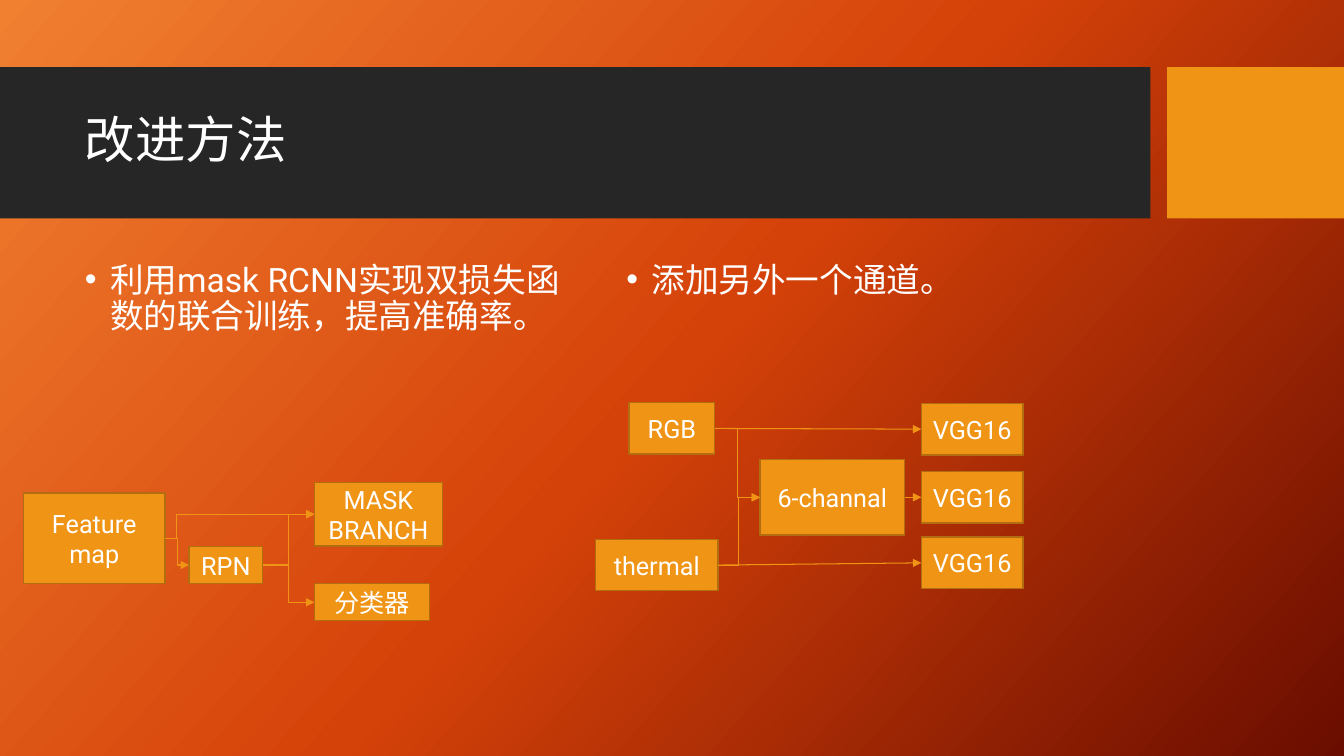
from copy import deepcopy

from lxml import etree
from pptx import Presentation
from pptx.dml.color import RGBColor
from pptx.enum.shapes import MSO_CONNECTOR, MSO_SHAPE
from pptx.enum.text import MSO_ANCHOR, PP_ALIGN
from pptx.oxml.ns import qn
from pptx.util import Pt

RECTANGLE = MSO_SHAPE.RECTANGLE
STRAIGHT, ELBOW = MSO_CONNECTOR.STRAIGHT, MSO_CONNECTOR.ELBOW
MIDDLE, TOP = MSO_ANCHOR.MIDDLE, MSO_ANCHOR.TOP
CENTER = PP_ALIGN.CENTER
LEFT_SIDE, RIGHT_SIDE = 1, 3
FONT = "Roboto"
COLORS = {
    "glow": "F18031",
    "flame": "D54209",
    "ember": "6A0D00",
    "band": "262626",
    "amber": "F09415",
    "outline": "B26D10",
    "text": "FFFFFF",
}


def color(name):
    """Return the named palette colour."""
    return RGBColor.from_string(COLORS[name])


def paint_background(page):
    """Fill the page with a three-stop diagonal gradient."""
    fill = page.background.fill
    fill.gradient()
    fill.gradient_angle = 318
    first = fill.gradient_stops[0]._gs
    first.addnext(deepcopy(first))
    for stop, name, position in zip(fill.gradient_stops, ("glow", "flame", "ember"), (0, 0.5, 1)):
        stop.color.rgb = color(name)
        stop.position = position


def add_span(para, text, size):
    """Add one run in the slide's font."""
    span = para.add_run()
    span.text = text
    span.font.name = FONT
    span.font.size = Pt(size)
    span.font.color.rgb = color("text")


def add_block(page, left, top, width, height, fill):
    """Add a flat rectangle without an outline."""
    block = page.shapes.add_shape(RECTANGLE, Pt(left), Pt(top), Pt(width), Pt(height))
    block.shadow.inherit = False
    block.fill.solid()
    block.fill.fore_color.rgb = color(fill)
    block.line.fill.background()
    return block


def add_node(page, text, left, top, width, height):
    """Add a labelled, outlined box of the diagram."""
    node = add_block(page, left, top, width, height, "amber")
    node.line.color.rgb = color("outline")
    node.line.width = Pt(1)
    para = node.text_frame.paragraphs[0]
    para.alignment = CENTER
    add_span(para, text, 18)
    return node


def add_text(page, text, left, top, width, height, size, anchor):
    """Add a wrapped text box and return its paragraph."""
    box = page.shapes.add_textbox(Pt(left), Pt(top), Pt(width), Pt(height))
    box.text_frame.word_wrap = True
    box.text_frame.vertical_anchor = anchor
    para = box.text_frame.paragraphs[0]
    para.line_spacing = 0.9
    add_span(para, text, size)
    return para


def add_bullet(page, text, left):
    """Add a column of bulleted body text."""
    para = add_text(page, text, left, 184.3, 370, 283.7, 24, TOP)
    para.space_before = Pt(10)
    properties = para._p.get_or_add_pPr()
    properties.set("marL", str(Pt(18)))
    properties.set("indent", str(-Pt(18)))
    etree.SubElement(properties, qn("a:buFont"), typeface="Arial")
    etree.SubElement(properties, qn("a:buChar"), char="•")


def add_arrow(page, source, target, kind=ELBOW, bend=0.5):
    """Connect the right side of one node to the left side of another."""
    arrow = page.shapes.add_connector(kind, 0, 0, 0, 0)
    arrow.begin_connect(source, RIGHT_SIDE)
    arrow.end_connect(target, LEFT_SIDE)
    arrow.line.color.rgb = color("amber")
    arrow.line.width = Pt(0.75)
    etree.SubElement(arrow.line._get_or_add_ln(), qn("a:tailEnd"), type="triangle")
    properties = arrow._element.spPr
    etree.SubElement(properties, qn("a:effectLst"))
    if kind == ELBOW:
        guides = properties.find(qn("a:prstGeom")).get_or_add_avLst()
        etree.SubElement(guides, qn("a:gd"), name="adj1", fmla=f"val {round(bend * 100000)}")


def add_mask_diagram(page):
    """Draw the two-loss training branch."""
    feature_map = add_node(page, "Feature map", 16.7, 352.2, 101.3, 64.8)
    proposals = add_node(page, "RPN", 135, 390.3, 52.7, 26.6)
    classifier = add_node(page, "分类器", 224.6, 416.9, 82.1, 26.6)
    mask_branch = add_node(page, "MASK BRANCH", 224.6, 344.6, 91.5, 45.4)
    add_arrow(page, feature_map, proposals)
    add_arrow(page, proposals, classifier)
    add_arrow(page, proposals, mask_branch)
    add_arrow(page, feature_map, mask_branch, bend=0.075)


def add_channel_diagram(page):
    """Draw the colour, thermal and merged channels."""
    rgb = add_node(page, "RGB", 449.3, 287.7, 61.3, 36.7)
    thermal = add_node(page, "thermal", 425.5, 385.3, 87.3, 36.7)
    merged = add_node(page, "6-channal", 542.9, 328.3, 103.2, 54)
    networks = [add_node(page, "VGG16", 658.1, top, 72.8, 36.7) for top in (288.2, 336.9, 383.7)]
    add_arrow(page, rgb, networks[0], STRAIGHT)
    add_arrow(page, thermal, networks[2], STRAIGHT)
    add_arrow(page, thermal, merged)
    add_arrow(page, rgb, merged)
    add_arrow(page, merged, networks[1])


def main():
    """Build and save the slide."""
    deck = Presentation()
    deck.slide_width, deck.slide_height = Pt(960), Pt(540)
    page = deck.slides.add_slide(deck.slide_layouts[6])
    paint_background(page)
    add_block(page, 0, 48, 821.8, 108, "band")
    add_block(page, 833.6, 48, 126.4, 108, "amber")
    add_text(page, "改进方法", 53.5, 59, 756.7, 85, 36, MIDDLE)
    add_bullet(page, "利用mask RCNN实现双损失函数的联合训练，提高准确率。", 53.5)
    add_bullet(page, "添加另外一个通道。", 440.3)
    add_mask_diagram(page)
    add_channel_diagram(page)
    deck.save("out.pptx")


if __name__ == "__main__":
    main()
